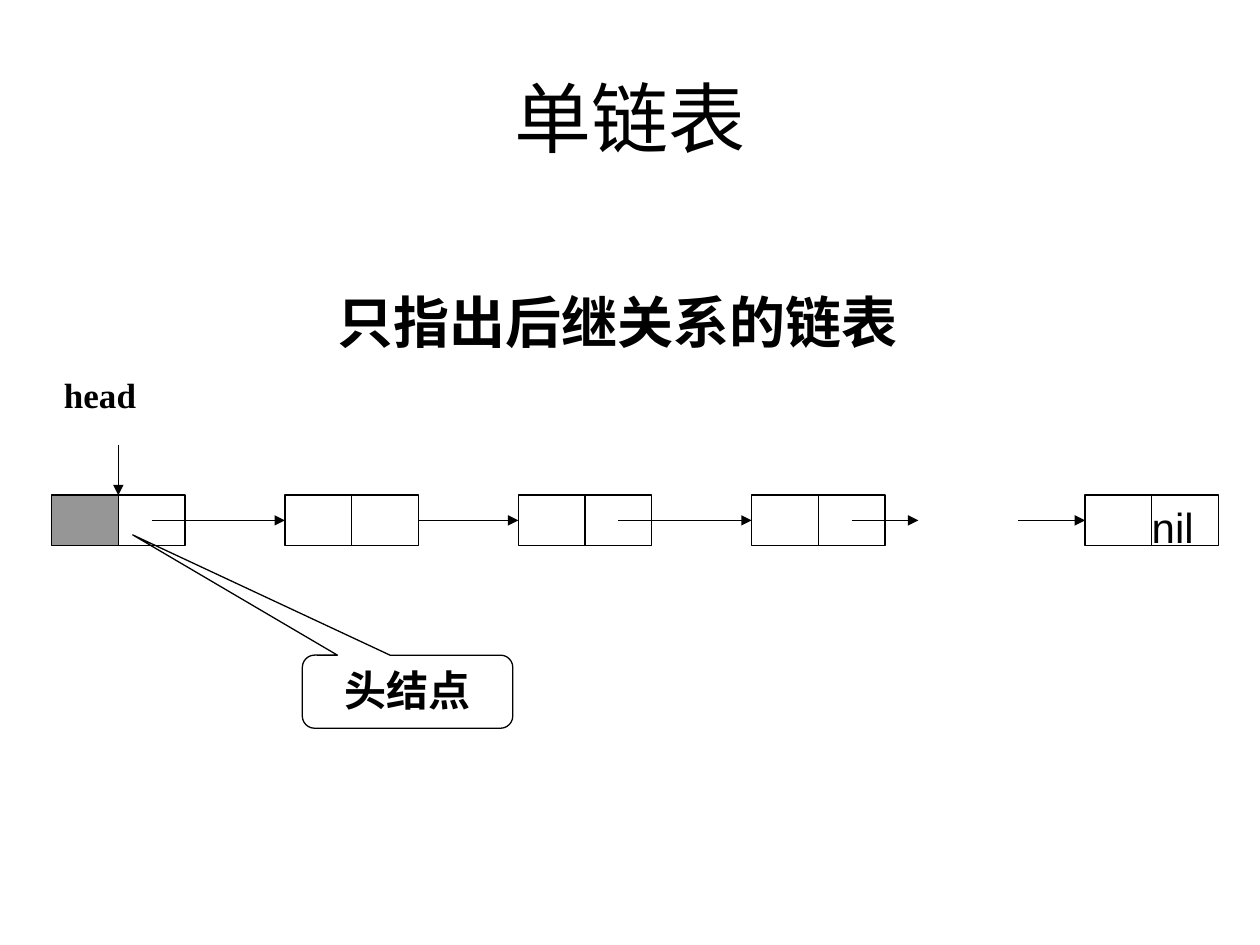
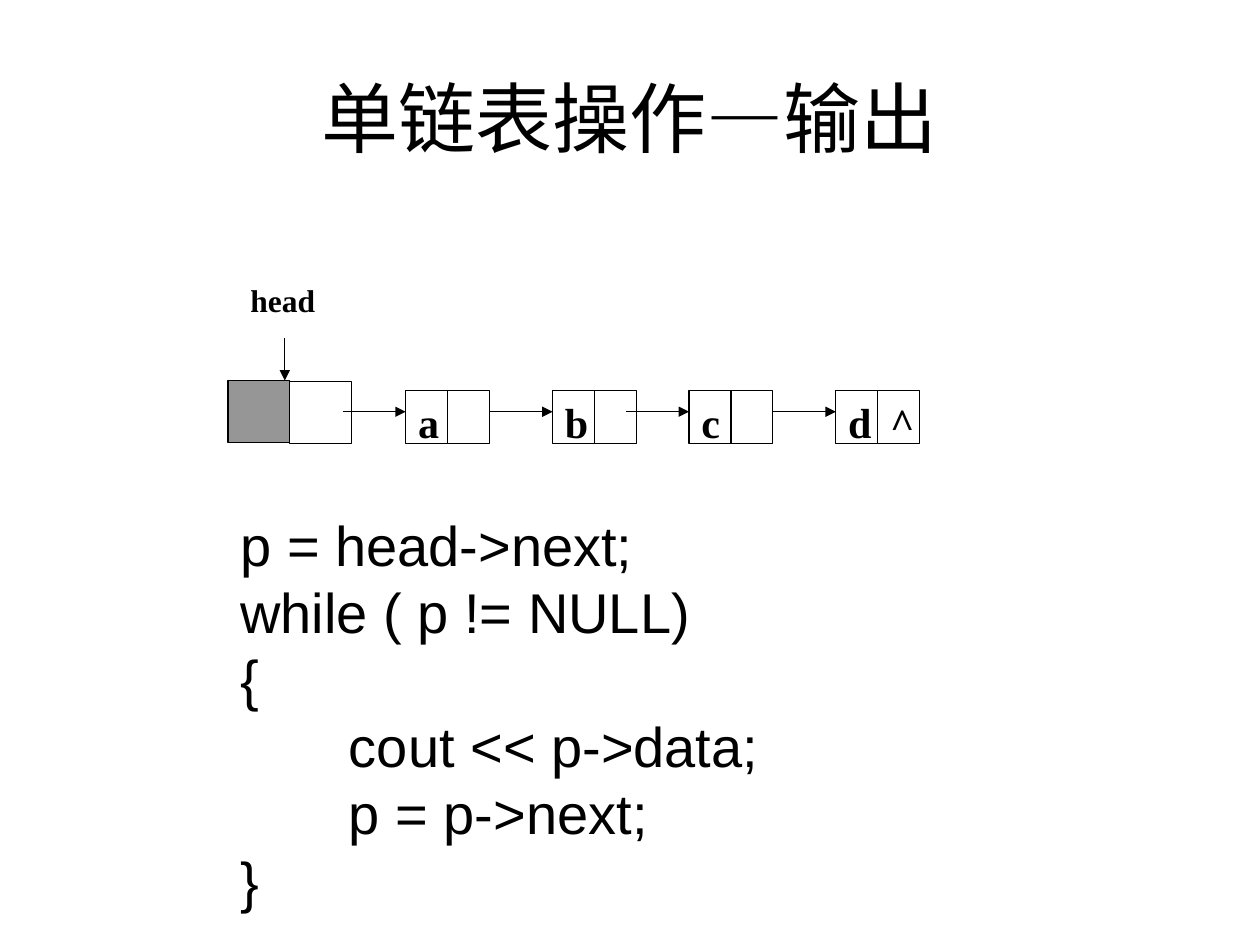
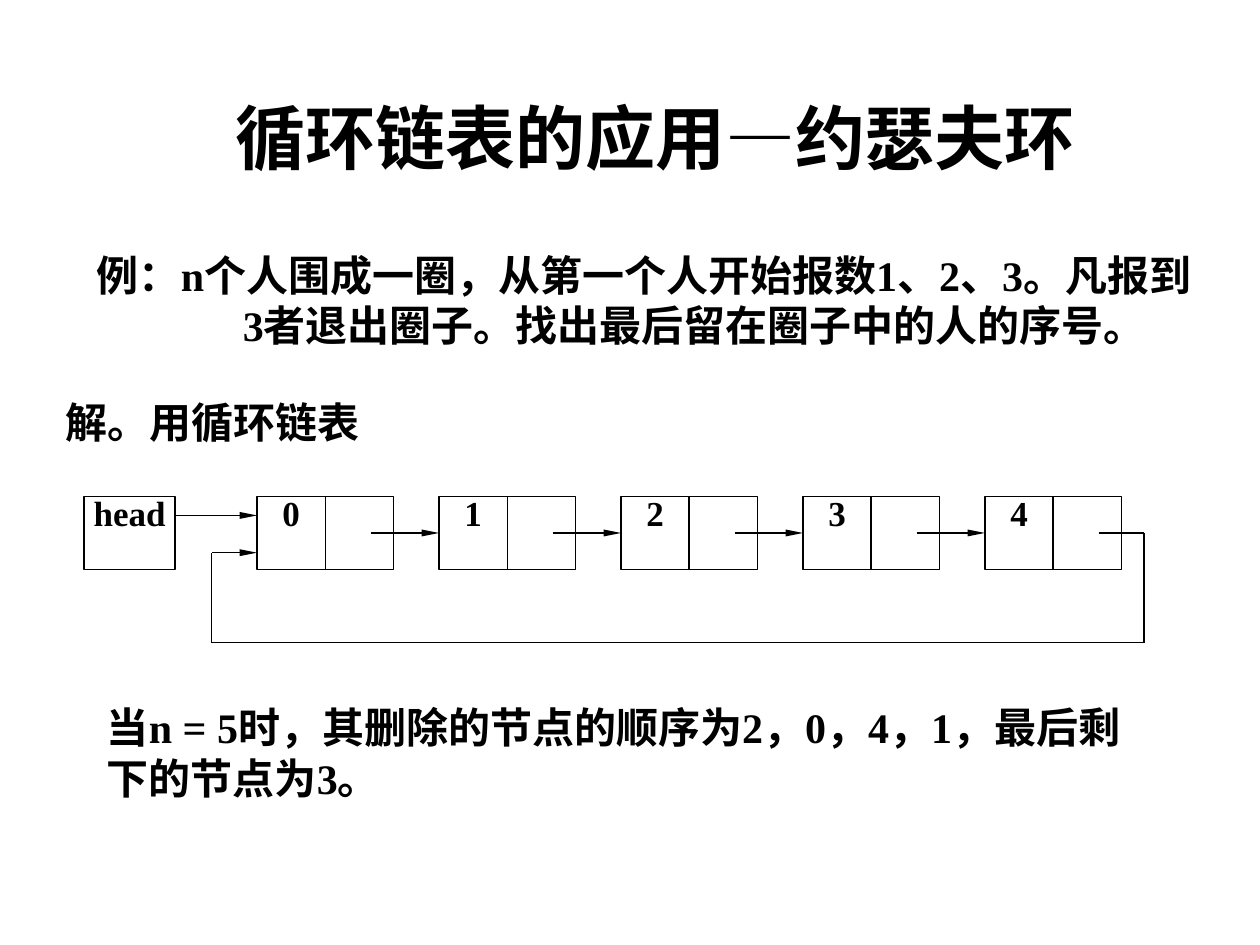
from dataclasses import dataclass

from lxml import etree
from pptx import Presentation
from pptx.dml.color import RGBColor
from pptx.enum.shapes import MSO_CONNECTOR, MSO_SHAPE
from pptx.enum.text import MSO_ANCHOR, MSO_AUTO_SIZE, PP_ALIGN
from pptx.oxml.ns import qn
from pptx.util import Inches, Pt

RECTANGLE = MSO_SHAPE.RECTANGLE
CALLOUT = MSO_SHAPE.ROUNDED_RECTANGULAR_CALLOUT
STRAIGHT = MSO_CONNECTOR.STRAIGHT
TOP, MIDDLE = MSO_ANCHOR.TOP, MSO_ANCHOR.MIDDLE
LEFT, CENTER, JUSTIFY = PP_ALIGN.LEFT, PP_ALIGN.CENTER, PP_ALIGN.JUSTIFY
FIXED_SIZE = MSO_AUTO_SIZE.NONE

BLACK = RGBColor(0x00, 0x00, 0x00)
WHITE = RGBColor(0xFF, 0xFF, 0xFF)
GRAY = RGBColor(0x96, 0x96, 0x96)
SERIF, SANS, TITLE_FONT = "Times New Roman", "Arial", "Calibri"
LINE_WIDTH = Pt(0.75)
SLIDE_WIDTH, SLIDE_HEIGHT = 10, 7.5
TITLE_ONLY = 5


@dataclass(frozen=True)
class Box:
    left: float
    top: float
    width: float
    height: float

    def lengths(self) -> list:
        return [Inches(n) for n in (self.left, self.top, self.width, self.height)]


@dataclass(frozen=True)
class Grid:
    left: float
    width: float
    columns: float
    top: float
    row_height: float

    def x(self, column: float) -> float:
        return self.left + column * self.width / self.columns

    def y(self, row: float) -> float:
        return self.top + row * self.row_height

    def box(self, column: float, row: float, columns: float, rows: float) -> Box:
        return Box(self.x(column), self.y(row),
                   columns * self.width / self.columns, rows * self.row_height)


# Columns and rows of the page are hundredths of the slide.
PAGE = Grid(0, SLIDE_WIDTH, 100, 0, SLIDE_HEIGHT / 100)
TITLE_BOX = PAGE.box(5, 4, 90, 16.67)


def write(shape, text: str, *, size: float, font: str = SERIF, bold: bool = False,
          align=LEFT, anchor=TOP, spacing: float | None = None,
          side_inset: float = 0.1, last_indent: float = 0) -> None:
    """Fill a shape with one paragraph per line of text."""
    frame = shape.text_frame
    frame.text = text
    frame.word_wrap = True
    frame.auto_size = FIXED_SIZE
    frame.vertical_anchor = anchor
    frame.margin_left = frame.margin_right = Inches(side_inset)
    frame.margin_top = frame.margin_bottom = Inches(0.05)
    if last_indent:
        properties = frame.paragraphs[-1]._p.get_or_add_pPr()
        properties.set("indent", str(Inches(last_indent)))
    for paragraph in frame.paragraphs:
        paragraph.alignment = align
        if spacing:
            paragraph.line_spacing = spacing
        for run in paragraph.runs:
            run.font.name = font
            run.font.size = Pt(size)
            run.font.bold = bold
            run.font.color.rgb = BLACK


def add_title_slide(presentation, title: str, box: Box = TITLE_BOX, **text_format):
    slide = presentation.slides.add_slide(presentation.slide_layouts[TITLE_ONLY])
    placeholder = slide.shapes.title
    placeholder.left, placeholder.top, placeholder.width, placeholder.height = box.lengths()
    style = dict(size=44, font=TITLE_FONT, align=CENTER, anchor=MIDDLE)
    write(placeholder, title, **(style | text_format))
    return slide


def add_text(slide, box: Box, text: str, **text_format) -> None:
    write(slide.shapes.add_textbox(*box.lengths()), text, **text_format)


def add_outlined(slide, box: Box, kind=RECTANGLE, fill: RGBColor | None = None):
    shape = slide.shapes.add_shape(kind, *box.lengths())
    shape.shadow.inherit = False
    if fill is None:
        shape.fill.background()
    else:
        shape.fill.solid()
        shape.fill.fore_color.rgb = fill
    shape.line.color.rgb = BLACK
    shape.line.width = LINE_WIDTH
    return shape


def add_node(slide, grid: Grid, column: float, cell_columns: float = 1,
             fill: RGBColor | None = None) -> tuple:
    """Draw the data cell and the link cell of a list node."""
    data = add_outlined(slide, grid.box(column, 0, cell_columns, 1), fill=fill)
    link = add_outlined(slide, grid.box(column + cell_columns, 0, cell_columns, 1))
    return data, link


def add_line(slide, grid: Grid, start: tuple, end: tuple, arrow: bool = True,
             head_width: str = "med", head_length: str = "med") -> None:
    """Connect two (column, row) points of a grid."""
    points = [Inches(n) for column, row in (start, end)
              for n in (grid.x(column), grid.y(row))]
    connector = slide.shapes.add_connector(STRAIGHT, *points)
    connector.line.color.rgb = BLACK
    connector.line.width = LINE_WIDTH
    if arrow:
        etree.SubElement(connector.line._get_or_add_ln(), qn("a:tailEnd"),
                         type="triangle", w=head_width, len=head_length)
    etree.SubElement(connector._element.spPr, qn("a:effectLst"))


def build_list_slide(presentation) -> None:
    slide = add_title_slide(presentation, "单链表")
    grid = Grid(0.41, 9.26, 17.5, 3.93, 0.4)
    for column in (0, 3.5, 7, 10.5, 15.5):
        _, last_link = add_node(slide, grid, column, fill=None if column else GRAY)
    write(last_link, "nil", size=24, font=SANS, side_inset=0)
    for start, end in ((1.5, 3.5), (5.5, 7), (8.5, 10.5), (12, 13), (14.5, 15.5)):
        add_line(slide, grid, (start, 0.5), (end, 0.5))
    add_text(slide, grid.box(0, -2.53, 2.5, 1.53), "head", size=20, bold=True, align=JUSTIFY)
    add_line(slide, grid, (1, -1), (1, 0))

    callout = add_outlined(slide, PAGE.box(24, 69.33, 16.7, 7.73), CALLOUT)
    for index, value in enumerate((-1.306, -2.146, 0.167)):
        callout.adjustments[index] = value
    write(callout, "头结点", size=24, bold=True, align=CENTER)
    add_text(slide, PAGE.box(17.3, 29.73, 63.5, 8.53), "只指出后继关系的链表",
             size=32, font=SANS, bold=True, align=CENTER)


def build_output_slide(presentation) -> None:
    slide = add_title_slide(presentation, "单链表操作—输出")
    head = Grid(1.81, 0.98, 2, 3.02, 0.49)
    add_outlined(slide, head.box(0, 0, 1, 1), fill=GRAY)
    add_outlined(slide, head.box(1, 0.02, 1, 1), fill=WHITE)
    add_text(slide, head.box(0.16, -1.71, 2.51, 1.02), "head",
             size=18, bold=True, align=JUSTIFY)
    add_line(slide, head, (0.92, -0.69), (0.92, 0))

    grid = Grid(3.22, 4.08, 12.25, 3.1, 0.42)
    columns = (0, 3.5, 6.75, 10.25)
    for column, letter in zip(columns, "abcd"):
        add_node(slide, grid, column)
        add_text(slide, grid.box(column, 0, 1, 1.2), letter, size=24, bold=True)
        add_line(slide, grid, (column - 1.5, 0.4), (column, 0.4))
    add_text(slide, grid.box(columns[-1] + 1, 0, 1.25, 1.2), "^", size=24, bold=True)

    code = """p = head->next;
while ( p != NULL)
{
       cout << p->data;
       p = p->next;
}"""
    add_text(slide, PAGE.box(18.1, 53.33, 51.6, 44), code, size=32, font=SANS)


def build_josephus_slide(presentation) -> None:
    slide = add_title_slide(presentation, "循环链表的应用—约瑟夫环",
                            PAGE.box(16.8, 9.33, 70.4, 10.27),
                            size=40, font=SANS, bold=True, anchor=TOP)
    body = dict(size=24, bold=True)
    add_text(slide, PAGE.box(6.7, 25.73, 90, 17.33),
             "例：n个人围成一圈，从第一个人开始报数1、2、3。凡报到\n"
             "3者退出圈子。找出最后留在圈子中的人的序号。", last_indent=1.16, **body)
    add_text(slide, PAGE.box(4.2, 41.33, 29.2, 6.67), "解。用循环链表", **body)

    grid = Grid(2.04, 6.86, 38, 3.94, 0.58)
    cell, pitch, count = 3, 8, 5
    label = dict(size=20, bold=True, align=CENTER, spacing=0.72)
    narrow = dict(head_width="sm", head_length="lg")
    for number in range(count):
        column = number * pitch
        data, _ = add_node(slide, grid, column, cell)
        write(data, str(number), **label)
        if number:
            add_line(slide, grid, (column - 3, 0.5), (column, 0.5), **narrow)
    head = add_outlined(slide, grid.box(-7.6, 0, 4, 1))
    write(head, "head", side_inset=0.06, **label)
    add_line(slide, grid, (-3.6, 0.26), (0, 0.26), **narrow)

    loop = ((37, 0.5), (39, 0.5), (39, 2), (-2, 2), (-2, 0.77), (0, 0.77))
    for start, end in zip(loop, loop[1:]):
        add_line(slide, grid, start, end, arrow=end == loop[-1], **narrow)
    add_text(slide, PAGE.box(7.5, 73.6, 83.3, 12),
             "当n = 5时，其删除的节点的顺序为2，0，4，1，最后剩下的节点为3。", **body)


def main() -> None:
    presentation = Presentation()
    presentation.slide_width = Inches(SLIDE_WIDTH)
    presentation.slide_height = Inches(SLIDE_HEIGHT)
    build_list_slide(presentation)
    build_output_slide(presentation)
    build_josephus_slide(presentation)
    presentation.save("out.pptx")


if __name__ == "__main__":
    main()
